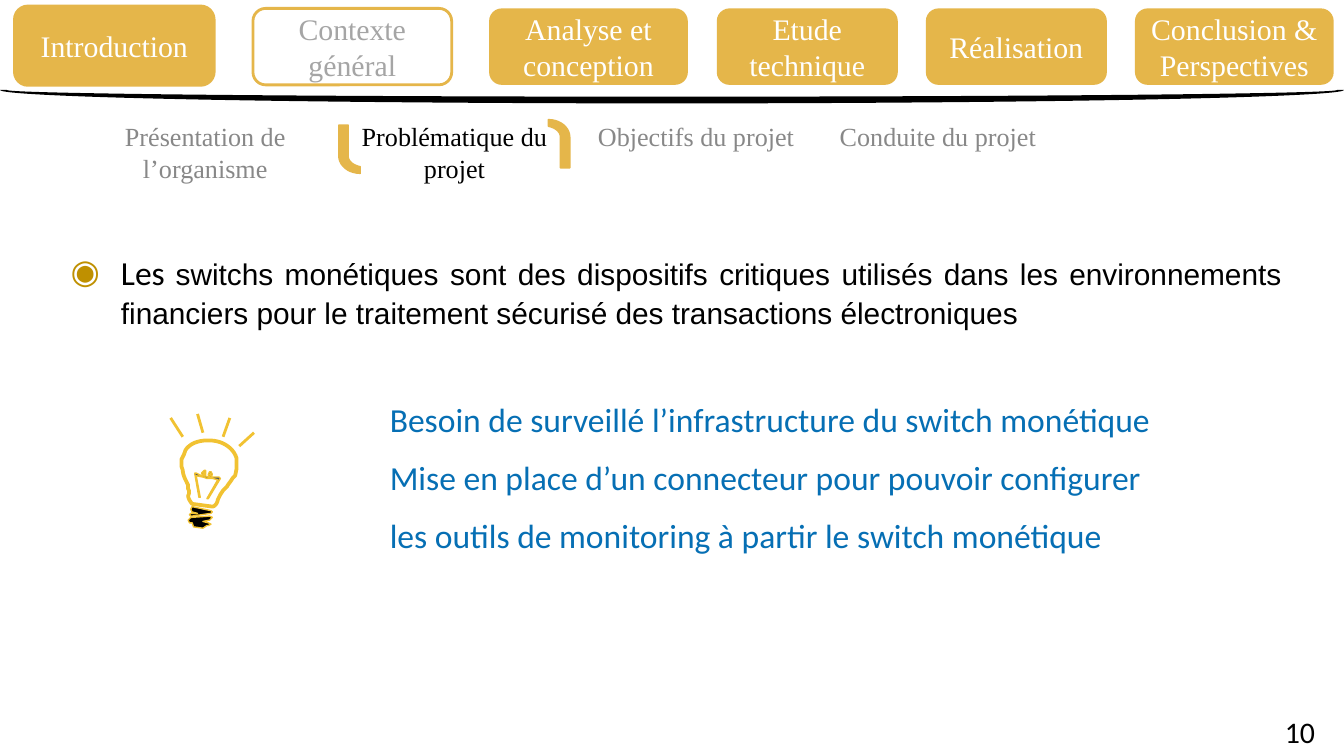
from dataclasses import dataclass
from typing import Optional

from lxml.etree import SubElement
from pptx import Presentation
from pptx.dml.color import RGBColor
from pptx.enum.shapes import MSO_CONNECTOR as Connector, MSO_SHAPE as Preset
from pptx.enum.text import MSO_ANCHOR as Anchor, MSO_AUTO_SIZE as AutoSize, PP_ALIGN as Align
from pptx.oxml.ns import qn
from pptx.util import Pt

GOLD = RGBColor(0xE5, 0xB6, 0x4A)
BULB_GOLD = RGBColor(0xF1, 0xC2, 0x32)
BULLET_GOLD = RGBColor(0xBF, 0x90, 0x00)
BLUE = RGBColor(0x06, 0x6F, 0xB4)
BLACK = RGBColor(0, 0, 0)
WHITE = RGBColor(0xFF, 0xFF, 0xFF)
GRAY = RGBColor(0x88, 0x88, 0x88)
LIGHT_GRAY = RGBColor(0xA5, 0xA5, 0xA5)
FILAMENT_GRAY = RGBColor(0x53, 0x56, 0x5A)
SERIF = "Times New Roman"
UNIT = 0.72


@dataclass
class Chapter:
    label: str
    left: float
    width: float
    top: float = 4.5
    height: float = 41
    fill: RGBColor = GOLD
    color: RGBColor = WHITE
    line_width: Optional[float] = None


@dataclass
class Section:
    label: str
    left: float
    width: float = 124
    height: float = 24.5
    color: RGBColor = GRAY


@dataclass
class Outline:
    contours: list
    fill: RGBColor
    line: RGBColor
    line_width: float = 0.75


CHAPTERS = [
    Chapter("Introduction", 8, 106.5, top=3.5, height=42, line_width=2),
    Chapter("Contexte général", 135.5, 106.5, fill=WHITE, color=LIGHT_GRAY, line_width=1.5),
    Chapter("Analyse et conception", 262, 106.5),
    Chapter("Etude technique", 384, 97),
    Chapter("Réalisation", 496, 97),
    Chapter("Conclusion & Perspectives", 608, 106.5),
]
SECTIONS = [
    Section("Présentation de l’organisme", 44, width=132, height=41),
    Section("Problématique du projet", 181.5, height=41, color=BLACK),
    Section("Objectifs du projet", 311),
    Section("Conduite du projet", 440.5),
]
BRACKET = Outline([[(0, 0), (0, 23), (0, 30, 7, 36, 16, 36), (16, 31),
                    (11, 30, 7, 27, 7, 23), (7, 0)]], GOLD, GOLD)
BULB = [
    Outline([[(46, 41), (44, 34, 37, 29, 29, 28), (20, 27, 12, 29, 8, 35), (7, 38), (5, 42),
              (5, 47), (6, 50), (6, 52, 7, 55, 8, 57), (10, 61), (10, 64), (11, 65, 11, 67, 10, 69),
              (10, 71, 12, 74, 13, 75), (28, 77), (30, 77, 32, 74, 32, 72), (34, 68), (36, 65),
              (39, 62), (40, 60, 42, 58, 43, 56), (45, 54), (46, 49), (46, 44)]],
            WHITE, BULB_GOLD, 2),
    Outline([[(27, 80), (13, 77), (12, 79), (13, 81), (17, 82), (12, 82), (11, 83), (12, 84),
              (13, 84), (27, 82), (28, 81)]], BLACK, BULB_GOLD),
    Outline([[(25, 89), (21, 88), (26, 87), (28, 85), (26, 84), (12, 85), (10, 87), (11, 89),
              (13, 89), (14, 92), (21, 93), (24, 91), (25, 91), (27, 90)]], BLACK, BULB_GOLD),
    Outline([[(16, 52), (15, 52), (15, 53), (18, 70), (19, 70), (16, 54), (21, 55), (24, 56),
              (28, 56), (32, 57), (24, 71), (25, 71), (34, 56), (33, 55), (27, 55), (28, 53),
              (27, 51), (26, 51), (25, 53), (26, 55), (22, 54), (23, 53), (23, 50), (22, 50),
              (20, 52), (21, 54), (20, 54)],
             [(27, 52), (27, 54), (26, 53)],
             [(22, 51), (22, 54), (21, 52)]], FILAMENT_GRAY, BULB_GOLD),
]
RAYS = [(17, 8, 21, 22), (41, 11, 36, 25), (59, 22, 48, 32), (-3, 11, 6, 25)]
BULB_ORIGIN = (93.6, 216)
NEEDS = [
    "Besoin de surveillé l’infrastructure du switch monétique",
    "Mise en place d’un connecteur pour pouvoir configurer",
    "les outils de monitoring à partir le switch monétique",
]


def write(paragraph, text: str, *, size: float, font: str, color: RGBColor,
          align: Optional[Align] = None) -> None:
    run = paragraph.add_run()
    run.text = text
    run.font.size = Pt(size)
    run.font.name = font
    run.font.color.rgb = color
    if align is not None:
        paragraph.alignment = align


def set_frame(frame, across: float, down: float, anchor: Anchor) -> None:
    frame.word_wrap = True
    frame.auto_size = AutoSize.NONE
    frame.vertical_anchor = anchor
    frame.margin_left = frame.margin_right = Pt(across)
    frame.margin_top = frame.margin_bottom = Pt(down)


def paint(shape, fill: RGBColor, line: RGBColor, line_width: Optional[float]) -> None:
    shape.shadow.inherit = False
    shape.fill.solid()
    shape.fill.fore_color.rgb = fill
    if line_width is None:
        shape.line.fill.background()
    else:
        shape.line.color.rgb = line
        shape.line.width = Pt(line_width)


def draw_chapter(shapes, chapter: Chapter) -> None:
    tab = shapes.add_shape(Preset.ROUNDED_RECTANGLE, Pt(chapter.left), Pt(chapter.top),
                           Pt(chapter.width), Pt(chapter.height))
    paint(tab, chapter.fill, GOLD, chapter.line_width)
    set_frame(tab.text_frame, 5, 3, Anchor.MIDDLE)
    write(tab.text_frame.paragraphs[0], chapter.label, size=16, font=SERIF,
          color=chapter.color, align=Align.CENTER)


def draw_section(shapes, section: Section) -> None:
    label = shapes.add_textbox(Pt(section.left), Pt(61.2), Pt(section.width), Pt(section.height))
    set_frame(label.text_frame, 7.2, 3.6, Anchor.TOP)
    write(label.text_frame.paragraphs[0], section.label, size=14, font=SERIF,
          color=section.color, align=Align.CENTER)


def flatten(contour: list, steps: int = 10) -> list:
    points = [contour[0]]
    for segment in contour[1:]:
        if len(segment) == 2:
            points.append(segment)
            continue
        x0, y0 = points[-1]
        x1, y1, x2, y2, x3, y3 = segment
        for t in (step / steps for step in range(1, steps + 1)):
            a, b, c, d = (1 - t) ** 3, 3 * t * (1 - t) ** 2, 3 * t * t * (1 - t), t ** 3
            points.append((a * x0 + b * x1 + c * x2 + d * x3, a * y0 + b * y1 + c * y2 + d * y3))
    return points


def draw_outline(shapes, outline: Outline, origin: tuple, direction: int = 1) -> None:
    def place(point: tuple) -> tuple:
        return tuple(Pt(start + direction * UNIT * value) for start, value in zip(origin, point))

    contours = [[place(point) for point in flatten(contour)] for contour in outline.contours]
    builder = shapes.build_freeform(*contours[0][0])
    builder.add_line_segments(contours[0][1:], close=True)
    for contour in contours[1:]:
        builder.move_to(*contour[0])
        builder.add_line_segments(contour[1:], close=True)
    paint(builder.convert_to_shape(), outline.fill, outline.line, outline.line_width)


def draw_ray(shapes, ray: tuple) -> None:
    ends = [Pt(BULB_ORIGIN[i % 2] + UNIT * value) for i, value in enumerate(ray)]
    connector = shapes.add_connector(Connector.STRAIGHT, *ends)
    connector.line.color.rgb = BULB_GOLD
    connector.line.width = Pt(1.5)
    SubElement(connector._element.spPr, qn("a:effectLst"))


def format_item(paragraph, margin: float, indent: float, bullet: Optional[str] = None) -> None:
    properties = paragraph._p.get_or_add_pPr()
    properties.set("marL", str(Pt(margin)))
    properties.set("indent", str(Pt(indent)))
    if bullet:
        tint = SubElement(properties, qn("a:buClr"))
        SubElement(tint, qn("a:srgbClr"), val=str(BULLET_GOLD))
        SubElement(properties, qn("a:buChar"), char=bullet)
    else:
        SubElement(properties, qn("a:buNone"))
    paragraph.line_spacing = 1.07


def fill_body(body) -> None:
    body.left, body.top, body.width, body.height = Pt(21.6), Pt(126), Pt(672.5), Pt(238)
    frame = body.text_frame
    set_frame(frame, 7.2, 7.2, Anchor.TOP)
    context = frame.paragraphs[0]
    format_item(context, 36, -27, "◉")
    context.space_before = Pt(0)
    write(context, "Les ", size=18, font="Calibri", color=BLACK, align=Align.JUSTIFY)
    write(context, "switchs monétiques sont des dispositifs critiques utilisés dans les "
          "environnements financiers pour le traitement sécurisé des transactions électroniques",
          size=16, font="Arial", color=BLACK)
    for position, need in enumerate(NEEDS):
        item = frame.add_paragraph()
        format_item(item, 180, 0)
        item.space_before = Pt(8 if position else 35.5)
        write(item, need, size=18, font="Calibri", color=BLUE, align=Align.LEFT)


def main() -> None:
    deck = Presentation()
    deck.slide_width, deck.slide_height = Pt(720), Pt(405)
    slide = deck.slides.add_slide(deck.slide_layouts[1])
    shapes = slide.shapes
    title = shapes.title._element
    title.getparent().remove(title)
    fill_body(slide.placeholders[1])

    swoosh = shapes.add_shape(Preset.BLOCK_ARC, Pt(0), Pt(41), Pt(720), Pt(14.4))
    swoosh.rotation = 180
    for position, value in enumerate((108, 0, 0.25)):
        swoosh.adjustments[position] = value
    paint(swoosh, BLACK, BLACK, None)

    for section in SECTIONS:
        draw_section(shapes, section)
    draw_outline(shapes, BRACKET, (181.5, 67))
    draw_outline(shapes, BRACKET, (305.3, 90), direction=-1)
    for chapter in CHAPTERS:
        draw_chapter(shapes, chapter)
    for part in BULB:
        draw_outline(shapes, part, BULB_ORIGIN)
    for ray in RAYS:
        draw_ray(shapes, ray)

    page = shapes.add_textbox(Pt(543.6), Pt(381), Pt(168), Pt(21.6))
    set_frame(page.text_frame, 7.2, 3.6, Anchor.MIDDLE)
    write(page.text_frame.paragraphs[0], "10", size=16, font="Calibri", color=BLACK,
          align=Align.RIGHT)
    deck.save("out.pptx")


if __name__ == "__main__":
    main()
